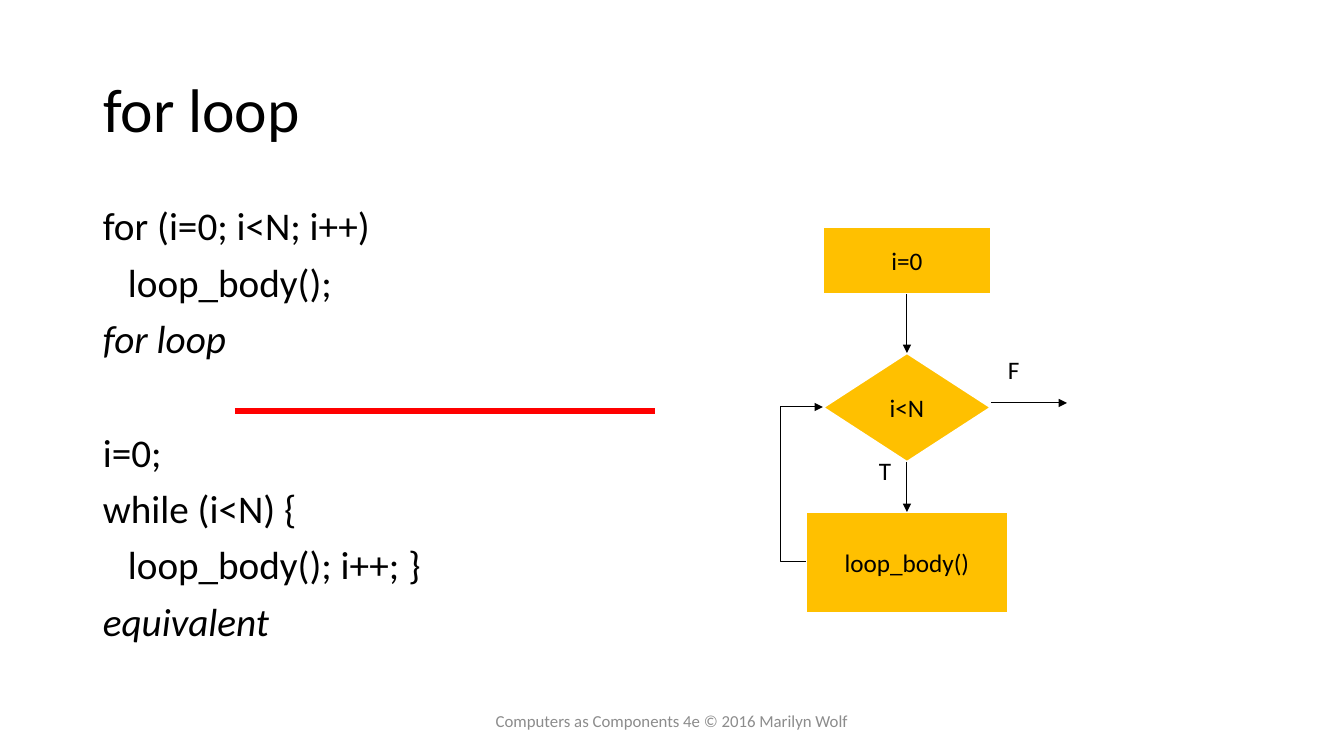
"""Builds the slide that shows a for loop, its while form and its flowchart."""
from lxml import etree
from pptx import Presentation
from pptx.dml.color import RGBColor
from pptx.enum.shapes import MSO_CONNECTOR, MSO_SHAPE
from pptx.enum.text import MSO_ANCHOR, MSO_AUTO_SIZE, PP_ALIGN
from pptx.oxml.ns import qn
from pptx.util import Pt

PX = 914400 / 100.8
BLACK = RGBColor(0, 0, 0)
WHITE = RGBColor(255, 255, 255)
GOLD = RGBColor(255, 192, 0)
RED = RGBColor(255, 0, 0)
GRAY = RGBColor(140, 140, 140)
RECT, DIAMOND = MSO_SHAPE.RECTANGLE, MSO_SHAPE.DIAMOND
LINE, ELBOW = MSO_CONNECTOR.STRAIGHT, MSO_CONNECTOR.ELBOW
TOP, MIDDLE = MSO_ANCHOR.TOP, MSO_ANCHOR.MIDDLE
LEFT, CENTER = PP_ALIGN.LEFT, PP_ALIGN.CENTER
NONE = MSO_AUTO_SIZE.NONE


def scale(*sizes):
    return [round(size * PX) for size in sizes]


def write(shape, lines, size, color=BLACK, align=LEFT, anchor=TOP, wrap=True):
    frame = shape.text_frame
    frame.text = "\n".join(lines)
    looks = {"auto_size": NONE, "word_wrap": wrap, "vertical_anchor": anchor}
    for name, value in looks.items():
        setattr(frame, name, value)
    for para in frame.paragraphs:
        para.alignment = align
        for run in para.runs:
            for name, value in {"name": "Calibri", "size": Pt(size)}.items():
                setattr(run.font, name, value)
            run.font.color.rgb = color
    return frame.paragraphs


deck = Presentation()
deck.slide_width, deck.slide_height = scale(1344, 756)
slide = deck.slides.add_slide(deck.slide_layouts[5])
shapes = slide.shapes

title = shapes.title
title.left, title.top, title.width, title.height = scale(93, 40, 1159, 146)
write(title, ["for loop"], 44, anchor=MIDDLE)[0].line_spacing = 0.9

code = [
    "for (i=0; i<N; i++)",
    "\tloop_body();",
    "for loop",
    "i=0;",
    "while (i<N) {",
    "\tloop_body(); i++; }",
    "equivalent",
]
body = shapes.add_textbox(*scale(93, 202, 572, 480))
indent = scale(25)[0]
for para in write(body, code, 28):
    para.line_spacing = 0.9
    para.space_before = Pt(51 if para.text == "i=0;" else 10)
    para.font.italic = para.text in ("for loop", "equivalent")
    for run in para.runs:
        run.font.italic = para.font.italic
    props = para._p.get_or_add_pPr()
    props.set("marL", str(indent))
    props.set("indent", str(-indent))

axis = 907
boxes = [
    ("i=0", RECT, 227, 168, 67),
    ("i<N", DIAMOND, 353, 168, 109),
    ("loop_body()", RECT, 512, 202, 101),
]
for label, kind, top, width, height in boxes:
    box = shapes.add_shape(kind, *scale(axis - width / 2, top, width, height))
    box.shadow.inherit = False
    box.fill.solid()
    box.fill.fore_color.rgb = GOLD
    box.line.color.rgb = WHITE
    box.line.width = Pt(1.5)
    write(box, [label], 18, align=CENTER, anchor=MIDDLE, wrap=False)

links = [
    (LINE, (235, 411, 655, 411), RED, 4.5),
    (LINE, (axis, 294, axis, 353), BLACK, 0.75),
    (LINE, (axis, 462, axis, 512), BLACK, 0.75),
    (LINE, (991, 403, 1067, 403), BLACK, 0.75),
    (ELBOW, (806, 562, 823, 407), BLACK, 0.75),
]
for kind, ends, color, weight in links:
    link = shapes.add_connector(kind, *scale(*ends))
    link.line.color.rgb = color
    link.line.width = Pt(weight)
    props = link._element.spPr
    if color == BLACK:
        edge = link.line._get_or_add_ln()
        etree.SubElement(edge, qn("a:tailEnd"), type="triangle")
    if kind == ELBOW:
        guides = props.find(qn("a:prstGeom")).get_or_add_avLst()
        etree.SubElement(guides, qn("a:gd"), name="adj1", fmla="val -150000")
    etree.SubElement(props, qn("a:effectLst"))

for label, left, top in [("T", 869, 450), ("F", 998, 349)]:
    write(shapes.add_textbox(*scale(left, top, 38, 40)), [label], 18)

foot = shapes.add_textbox(*scale(445, 701, 454, 40))
credit = "Computers as Components 4e © 2016 Marilyn Wolf"
write(foot, [credit], 12, GRAY, CENTER, MIDDLE)

deck.save("out.pptx")
